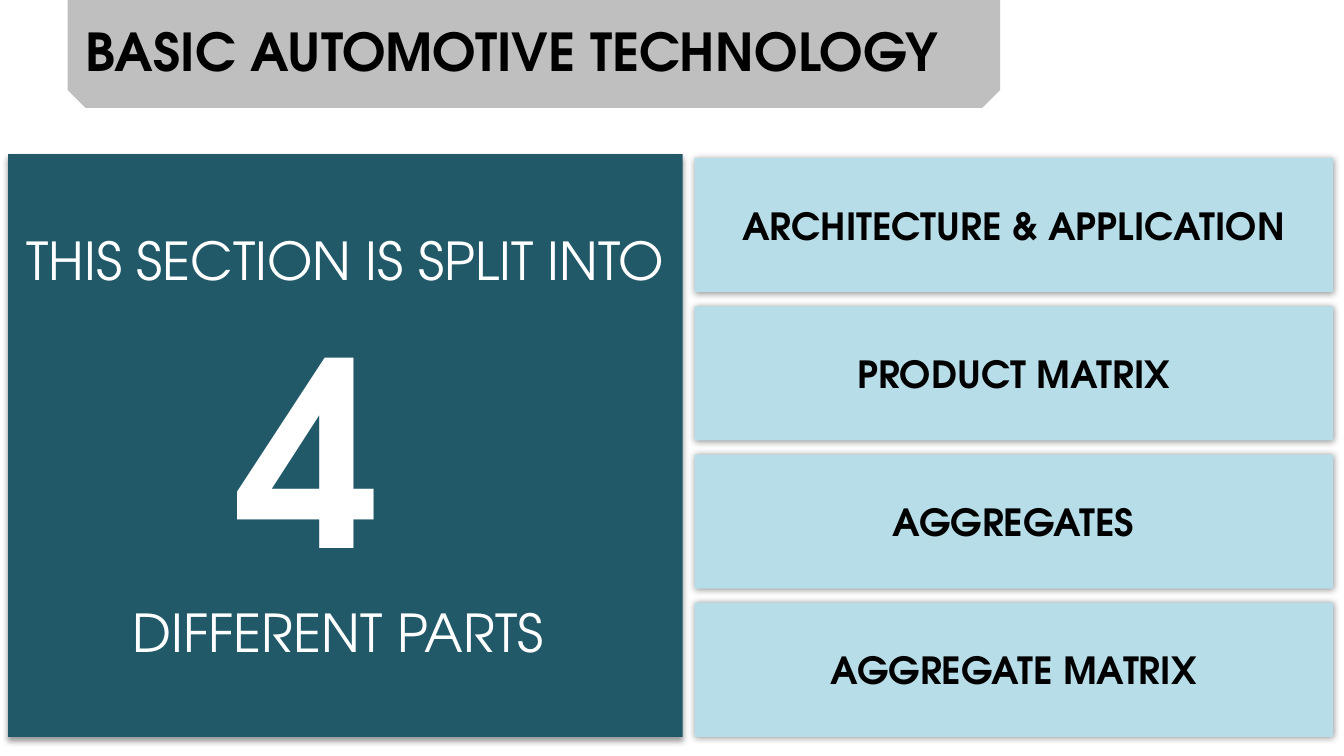
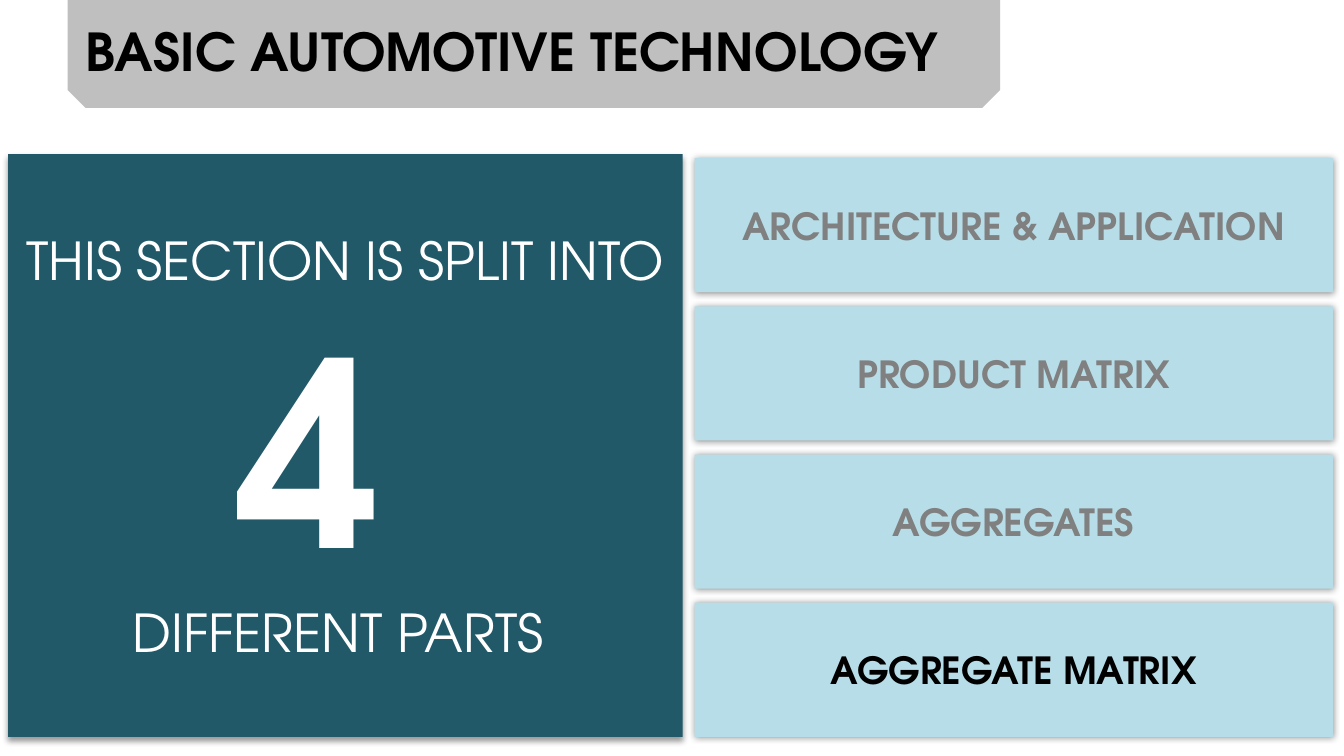
"""Build two section-overview slides on basic automotive technology."""
from lxml import etree
from pptx import Presentation
from pptx.dml.color import RGBColor
from pptx.enum import shapes, text
from pptx.oxml.ns import qn
from pptx.util import Inches, Pt

FONT = "TeX Gyre Adventor"
BLACK = RGBColor(0x00, 0x00, 0x00)
WHITE = RGBColor(0xFF, 0xFF, 0xFF)
MUTED = RGBColor(0x80, 0x80, 0x80)
BAND = RGBColor(0xBF, 0xBF, 0xBF)
TEAL = RGBColor(0x21, 0x59, 0x68)
PALE = RGBColor(0xB7, 0xDE, 0xE8)

TITLE = "BASIC AUTOMOTIVE TECHNOLOGY"
PARTS = ["ARCHITECTURE & APPLICATION", "PRODUCT MATRIX", "AGGREGATES", "AGGREGATE MATRIX"]
SUMMARY = [
    [("THIS SECTION IS SPLIT INTO ", 37.3, False), (f"{len(PARTS)} ", 184, True)],
    [("DIFFERENT PARTS ", 37.3, False)],
]
ACTIVE_PARTS = [PARTS, PARTS[-1:]]

PART_LEFT, PART_TOP, PART_W, PART_H, PART_PITCH = 6.89, 1.57, 6.33, 1.33, 1.47


def add_text(p, content, size, color=BLACK, bold=False, align=None):
    r = p.add_run()
    r.text = content
    r.font.name = FONT
    r.font.size = Pt(size)
    r.font.bold = bold
    r.font.color.rgb = color
    p.alignment = align


def add_shadow(sp, blur, distance, angle):
    effects = sp.element.spPr.find(qn("a:effectLst"))
    outer = etree.SubElement(
        effects, qn("a:outerShdw"), blurRad=str(Pt(blur)), dist=str(Pt(distance)),
        dir=str(angle * 60000), algn="ctr", rotWithShape="0")
    color = etree.SubElement(outer, qn("a:srgbClr"), val=str(BLACK))
    etree.SubElement(color, qn("a:alpha"), val="40000")


def add_block(slide, box, fill, kind=shapes.MSO_SHAPE.RECTANGLE, shadow=None):
    sp = slide.shapes.add_shape(kind, *map(Inches, box))
    sp.fill.solid()
    sp.fill.fore_color.rgb = fill
    sp.line.fill.background()
    sp.shadow.inherit = False
    if shadow:
        add_shadow(sp, *shadow)
    sp.text_frame.word_wrap = True
    sp.text_frame.vertical_anchor = text.MSO_ANCHOR.MIDDLE
    return sp


def add_title(slide):
    band = add_block(slide, (0.67, 0, 9.25, 1.07), BAND, shapes.MSO_SHAPE.SNIP_2_SAME_RECTANGLE)
    band.rotation = 180
    tf = slide.shapes.add_textbox(*map(Inches, (0.75, 0.14, 8.83, 0.73))).text_frame
    tf.word_wrap = False
    tf.auto_size = text.MSO_AUTO_SIZE.SHAPE_TO_FIT_TEXT
    add_text(tf.paragraphs[0], TITLE, 37.3, bold=True)


def add_summary(slide):
    tf = add_block(slide, (0.08, 1.53, 6.69, 5.78), TEAL, shadow=(4, 3, 90)).text_frame
    for i, runs in enumerate(SUMMARY):
        p = tf.add_paragraph() if i else tf.paragraphs[0]
        for content, size, bold in runs:
            add_text(p, content, size, WHITE, bold, text.PP_ALIGN.CENTER)


def add_parts(slide, active):
    for i, part in enumerate(PARTS):
        box = (PART_LEFT, PART_TOP + i * PART_PITCH, PART_W, PART_H)
        sp = add_block(slide, box, PALE, shadow=(5, 0, 0))
        color = BLACK if part in active else MUTED
        add_text(sp.text_frame.paragraphs[0], part, 26.7, color, True, text.PP_ALIGN.CENTER)


def main():
    prs = Presentation()
    prs.slide_width, prs.slide_height = Inches(13.33), Inches(7.5)
    for active in ACTIVE_PARTS:
        slide = prs.slides.add_slide(prs.slide_layouts[6])
        add_title(slide)
        add_summary(slide)
        add_parts(slide, active)
    prs.save("out.pptx")


if __name__ == "__main__":
    main()
